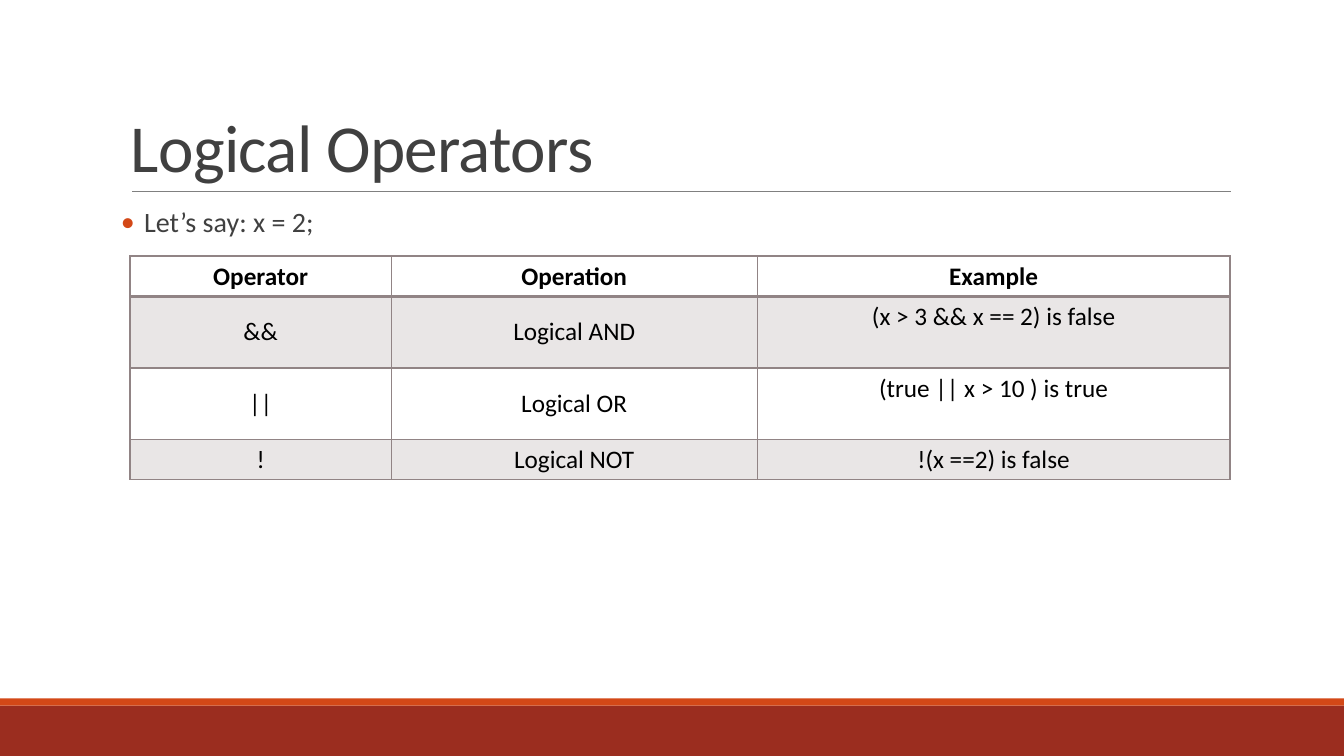
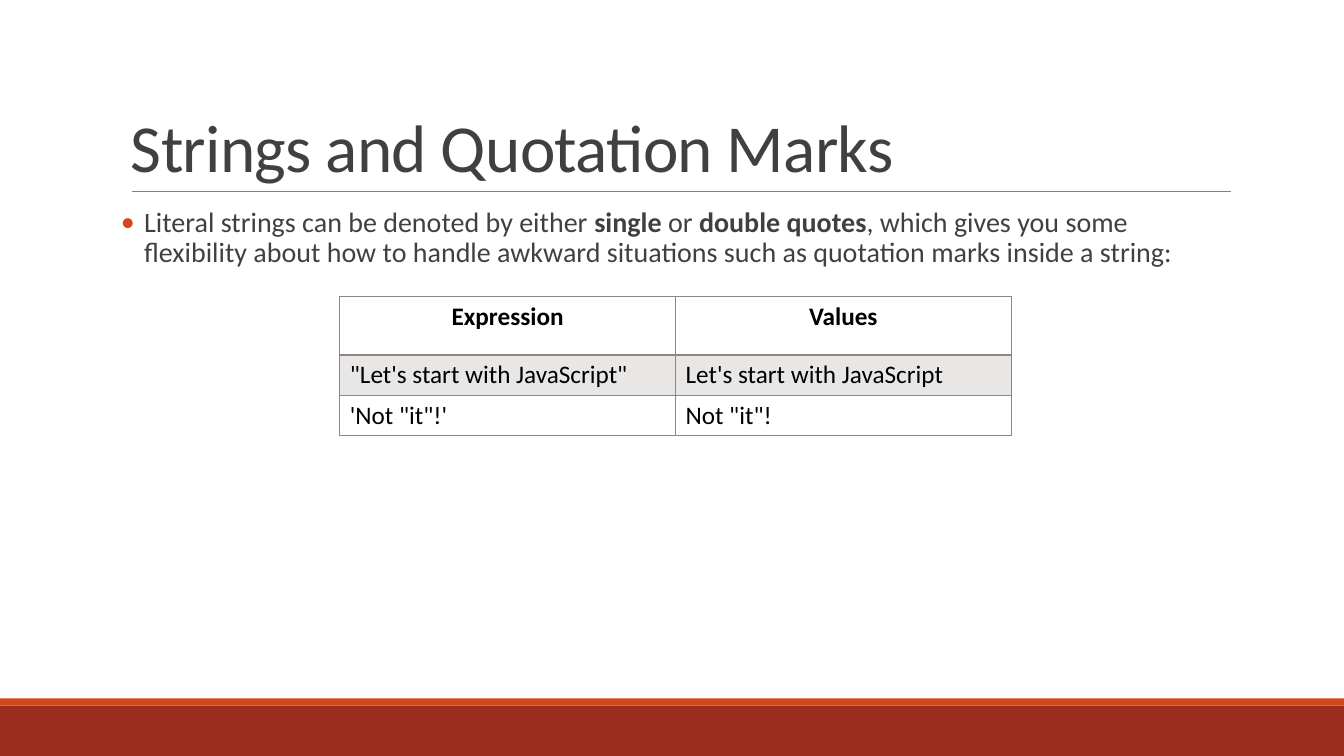
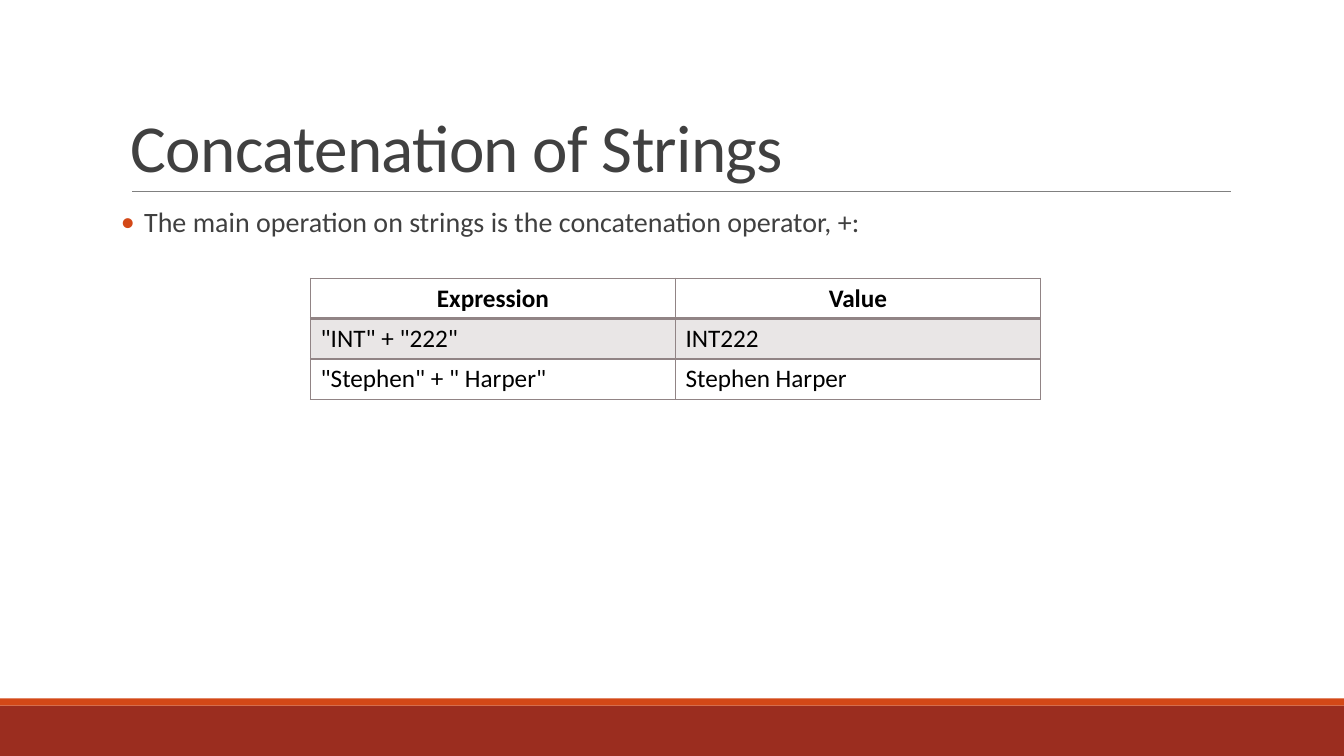
"""Build three slides on JavaScript operators and strings, each with a table."""
from lxml.etree import SubElement
from pptx import Presentation
from pptx.dml.color import RGBColor
from pptx.enum.shapes import MSO_CONNECTOR, MSO_SHAPE
from pptx.enum.text import MSO_ANCHOR, PP_ALIGN
from pptx.oxml.ns import qn
from pptx.util import Inches, Pt

FONT = "Calibri"
BRICK, ORANGE, RULE_GREY = "9B2D1F", "D34817", "808080"
TEXT_GREY, BLACK, TABLE_GREY = "404040", "000000", "918485"
BANDS = [(7, 0.5, BRICK), (6.93, 0.07, ORANGE)]
TOP, MIDDLE = MSO_ANCHOR.TOP, MSO_ANCHOR.MIDDLE

SLIDES = [
    {
        "title": "Logical Operators",
        "body": [("Let’s say: x = 2;", False)],
        "position": (1.29, 2.54),
        "columns": [2.59, 3.63, 4.69],
        "rows": [0.4, 0.71, 0.71, 0.4],
        "cells": [
            ["Operator", "Operation", "Example"],
            ["&&", "Logical AND", "(x > 3 && x == 2) is false"],
            ["||", "Logical OR", "(true || x > 10 ) is true"],
            ["!", "Logical NOT", "!(x ==2) is false"],
        ],
        "alignment": PP_ALIGN.CENTER,
        "anchors": [MIDDLE, MIDDLE, TOP],
    },
    {
        "title": "Strings and Quotation Marks",
        "body": [
            ("Literal strings can be denoted by either ", False),
            ("single", True),
            (" or ", False),
            ("double quotes", True),
            (", which gives you some flexibility about how to handle awkward "
             "situations such as quotation marks inside a string:", False),
        ],
        "position": (3.37, 2.94),
        "columns": [3.33, 3.33],
        "rows": [0.58, 0.4, 0.4],
        "cells": [
            ["Expression", "Values"],
            ['"Let\'s start with JavaScript"', "Let's start with JavaScript"],
            ["'Not \"it\"!'", 'Not "it"!'],
        ],
        "alignment": PP_ALIGN.LEFT,
        "anchors": [TOP, TOP],
    },
    {
        "title": "Concatenation of Strings",
        "body": [("The main operation on strings is the concatenation operator, +:", False)],
        "position": (3.08, 2.76),
        "columns": [3.62, 3.62],
        "rows": [0.4, 0.4, 0.4],
        "cells": [
            ["Expression", "Value"],
            ['"INT" + "222"', "INT222"],
            ['"Stephen" + " Harper"', "Stephen Harper"],
        ],
        "alignment": PP_ALIGN.LEFT,
        "anchors": [MIDDLE, MIDDLE],
    },
]


def color(value):
    return RGBColor.from_string(value)


def format_run(run, size, font_color, bold=False):
    run.font.name = FONT
    run.font.size = Pt(size)
    run.font.bold = bold
    run.font.color.rgb = color(font_color)


presentation = Presentation()
presentation.slide_width = Inches(13.33)
presentation.slide_height = Inches(7.5)

for content in SLIDES:
    slide = presentation.slides.add_slide(presentation.slide_layouts[6])
    shapes = slide.shapes

    for top, height, fill in BANDS:
        band = shapes.add_shape(
            MSO_SHAPE.RECTANGLE, 0, Inches(top), presentation.slide_width, Inches(height))
        band.shadow.inherit = False
        band.fill.solid()
        band.fill.fore_color.rgb = color(fill)
        band.line.fill.background()

    rule = shapes.add_connector(
        MSO_CONNECTOR.STRAIGHT, Inches(1.31), Inches(1.9), Inches(12.21), Inches(1.9))
    rule.line.color.rgb = color(RULE_GREY)
    rule.line.width = Pt(0.5)
    SubElement(rule.line._get_or_add_ln().getparent(), qn("a:effectLst"))

    title = shapes.add_textbox(Inches(1.2), Inches(0.31), Inches(11), Inches(1.59))
    title.text_frame.word_wrap = True
    title.text_frame.vertical_anchor = MSO_ANCHOR.BOTTOM
    title.text_frame.text = content["title"]
    paragraph = title.text_frame.paragraphs[0]
    paragraph.line_spacing = 0.85
    format_run(paragraph.runs[0], 48, TEXT_GREY)
    paragraph.runs[0].font._element.set("spc", "-50")

    body = shapes.add_textbox(Inches(1.2), Inches(2.02), Inches(11), Inches(0.8))
    body.text_frame.word_wrap = True
    body.text_frame.margin_left = body.text_frame.margin_right = 0
    paragraph = body.text_frame.paragraphs[0]
    paragraph.line_spacing = 0.9
    paragraph.space_before = Pt(4)
    paragraph.space_after = Pt(8)
    properties = paragraph._p.get_or_add_pPr()
    properties.set("marL", str(Inches(0.23)))
    properties.set("indent", str(Inches(-0.23)))
    bullet_color = SubElement(properties, qn("a:buClr"))
    SubElement(bullet_color, qn("a:srgbClr"), val=ORANGE)
    SubElement(properties, qn("a:buFont"), typeface=FONT)
    SubElement(properties, qn("a:buChar"), char="•")
    for text, bold in content["body"]:
        run = paragraph.add_run()
        run.text = text
        format_run(run, 20, TEXT_GREY, bold)

    left, top = content["position"]
    columns, rows = content["columns"], content["rows"]
    table = shapes.add_table(
        len(rows), len(columns), Inches(left), Inches(top),
        Inches(sum(columns)), Inches(sum(rows))).table
    table.horz_banding = False
    for column, width in zip(table.columns, columns):
        column.width = Inches(width)
    for row_index, (row, height) in enumerate(zip(table.rows, rows)):
        row.height = Inches(height)
        header = row_index == 0
        for column_index, cell in enumerate(row.cells):
            cell.text_frame.text = content["cells"][row_index][column_index]
            cell.vertical_anchor = content["anchors"][column_index]
            paragraph = cell.text_frame.paragraphs[0]
            paragraph.alignment = PP_ALIGN.CENTER if header else content["alignment"]
            format_run(paragraph.runs[0], 18, BLACK, header)

            cell_properties = cell._tc.get_or_add_tcPr()
            for side in ("L", "R", "T", "B"):
                thick = (row_index, side) in [(0, "B"), (1, "T")]
                border = SubElement(
                    cell_properties, qn("a:ln" + side), w=str(Pt(2 if thick else 1)))
                border_fill = SubElement(border, qn("a:solidFill"))
                SubElement(border_fill, qn("a:srgbClr"), val=TABLE_GREY)
            if row_index % 2:
                cell.fill.solid()
                cell.fill.fore_color.rgb = color(TABLE_GREY)
                shade = cell_properties.find(qn("a:solidFill")).find(qn("a:srgbClr"))
                SubElement(shade, qn("a:alpha"), val="20000")
            else:
                cell.fill.background()

presentation.save("out.pptx")
